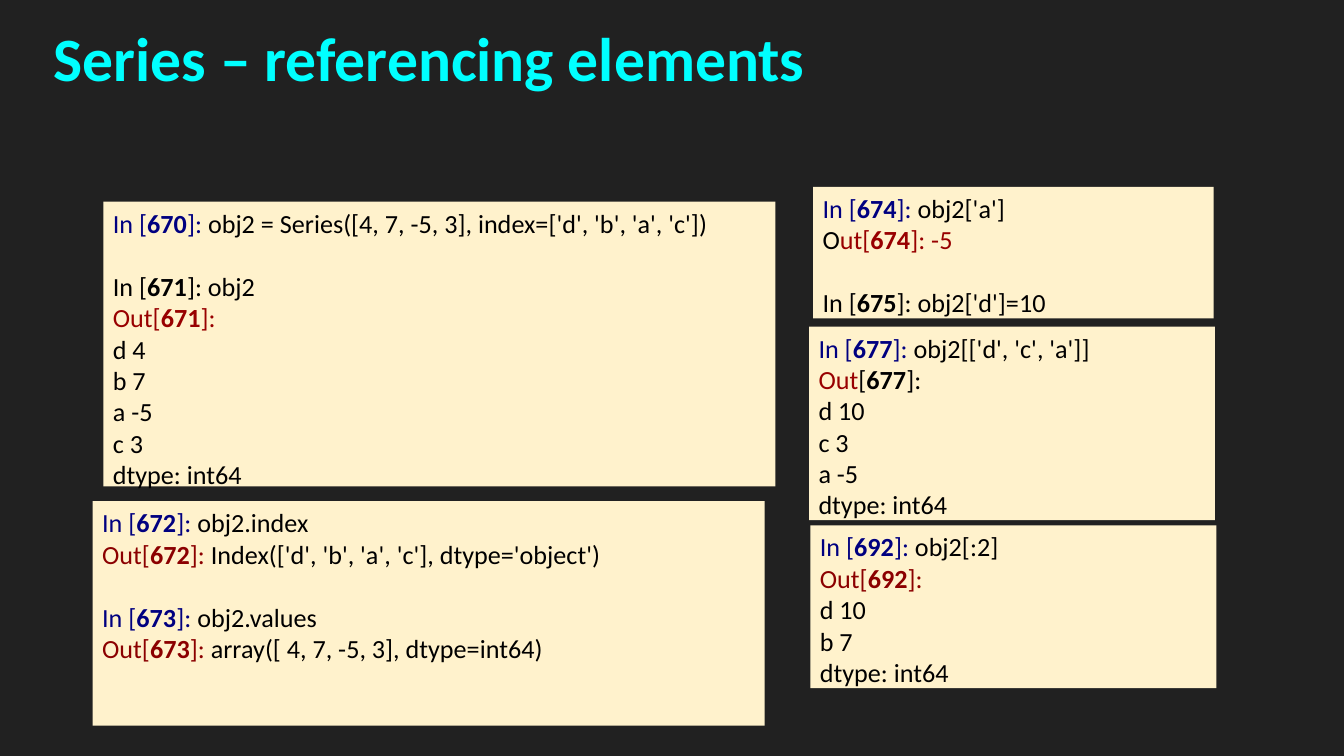
from pptx import Presentation
from pptx.dml.color import RGBColor
from pptx.enum import shapes, text
from pptx.util import Inches, Pt

DARK = RGBColor(0x21, 0x21, 0x21)
CYAN = RGBColor(0x00, 0xFF, 0xFF)
CREAM = RGBColor(0xFF, 0xF2, 0xCC)
NAVY = RGBColor(0x00, 0x00, 0x80)
RED = RGBColor(0x98, 0x00, 0x00)
MAROON = RGBColor(0x8B, 0x00, 0x00)
BLACK = RGBColor(0x00, 0x00, 0x00)

FONT = "Calibri"
SIZE = 14
GAP = 17  # one line of code, in points


def add_run(para, words, color, bold=False, size=SIZE):
    run = para.add_run()
    run.text = words
    run.font.name = FONT
    run.font.size = Pt(size)
    run.font.bold = bold
    run.font.color.rgb = color


def set_frame(frame, anchor):
    frame.word_wrap = True
    frame.auto_size = text.MSO_AUTO_SIZE.NONE
    frame.vertical_anchor = anchor
    frame.margin_left = frame.margin_right = Inches(0.07)
    frame.margin_top = frame.margin_bottom = Inches(0.04)


def prompt(head, num, color, code="", tail="]: "):
    """Runs of a prompt with a bold number, then its code."""
    runs = [(head, color), (num, color, True), (tail, color)]
    return runs + [(code, BLACK)] if code else runs


def call(num, code, color=NAVY):
    return prompt("In [", num, color, code)


def reply(num, color, code="", tail="]: "):
    return prompt("Out[", num, color, code, tail)


def plain(*lines):
    return [[(line, BLACK)] for line in lines]


def add_title(slide, words):
    box = slide.shapes.add_textbox(
        Inches(0.33), Inches(0.12), Inches(9.35), Inches(0.68))
    set_frame(box.text_frame, text.MSO_ANCHOR.MIDDLE)
    para = box.text_frame.paragraphs[0]
    para.line_spacing = 0.9
    add_run(para, words, CYAN, True, 33)


def add_code(slide, place, groups):
    """Cream panel; groups of lines stand one line apart."""
    box = slide.shapes.add_shape(
        shapes.MSO_SHAPE.RECTANGLE, *[Inches(n) for n in place])
    box.shadow.inherit = False
    box.fill.solid()
    box.fill.fore_color.rgb = CREAM
    box.line.fill.background()
    frame = box.text_frame
    set_frame(frame, text.MSO_ANCHOR.TOP)
    for g, lines in enumerate(groups):
        for n, runs in enumerate(lines):
            first = g == n == 0
            para = frame.paragraphs[0] if first else frame.add_paragraph()
            para.alignment = text.PP_ALIGN.LEFT
            if g and n == 0:
                para.space_before = Pt(GAP)
            for run in runs:
                add_run(para, *run)


def main():
    # Widescreen slide, 16 to 9
    deck = Presentation()
    deck.slide_width = Inches(10)
    deck.slide_height = Inches(10 * 9 / 16)
    slide = deck.slides.add_slide(deck.slide_layouts[6])
    slide.background.fill.solid()
    slide.background.fill.fore_color.rgb = DARK

    add_title(slide, "Series – referencing elements")

    # Left column: making a series, its index and values
    add_code(slide, (0.77, 1.5, 5, 2.12), [
        [call("670", "obj2 = Series([4, 7, -5, 3], index=['d', 'b', 'a', 'c'])")],
        [call("671", "obj2", BLACK), reply("671", RED, tail="]:"),
         *plain("d 4", "b 7", "a -5", "c 3", "dtype: int64")],
    ])
    add_code(slide, (0.69, 3.73, 5, 1.67), [
        [call("672", "obj2.index"),
         reply("672", MAROON, "Index(['d', 'b', 'a', 'c'], dtype='object')")],
        [call("673", "obj2.values"),
         reply("673", MAROON, "array([ 4, 7, -5, 3], dtype=int64)")],
    ])

    # Right column: one element, a list of labels, a slice
    add_code(slide, (6.05, 1.39, 2.98, 0.98), [
        [call("674", "obj2['a']"),
         [("O", BLACK), *prompt("ut[", "674", RED, tail="]: -5")]],
        [call("675", "obj2['d']=10", BLACK)],
    ])
    add_code(slide, (6.02, 2.43, 3.02, 1.44), [
        [call("677", "obj2[['d', 'c', 'a']]"),
         [("Out", RED), *prompt("[", "677", BLACK, tail="]:")],
         *plain("d 10", "c 3", "a -5", "dtype: int64")],
    ])
    add_code(slide, (6.03, 3.91, 3.02, 1.21), [
        [call("692", "obj2[:2]"), reply("692", MAROON, tail="]:"),
         *plain("d 10", "b 7", "dtype: int64")],
    ])

    deck.save("out.pptx")


if __name__ == "__main__":
    main()
